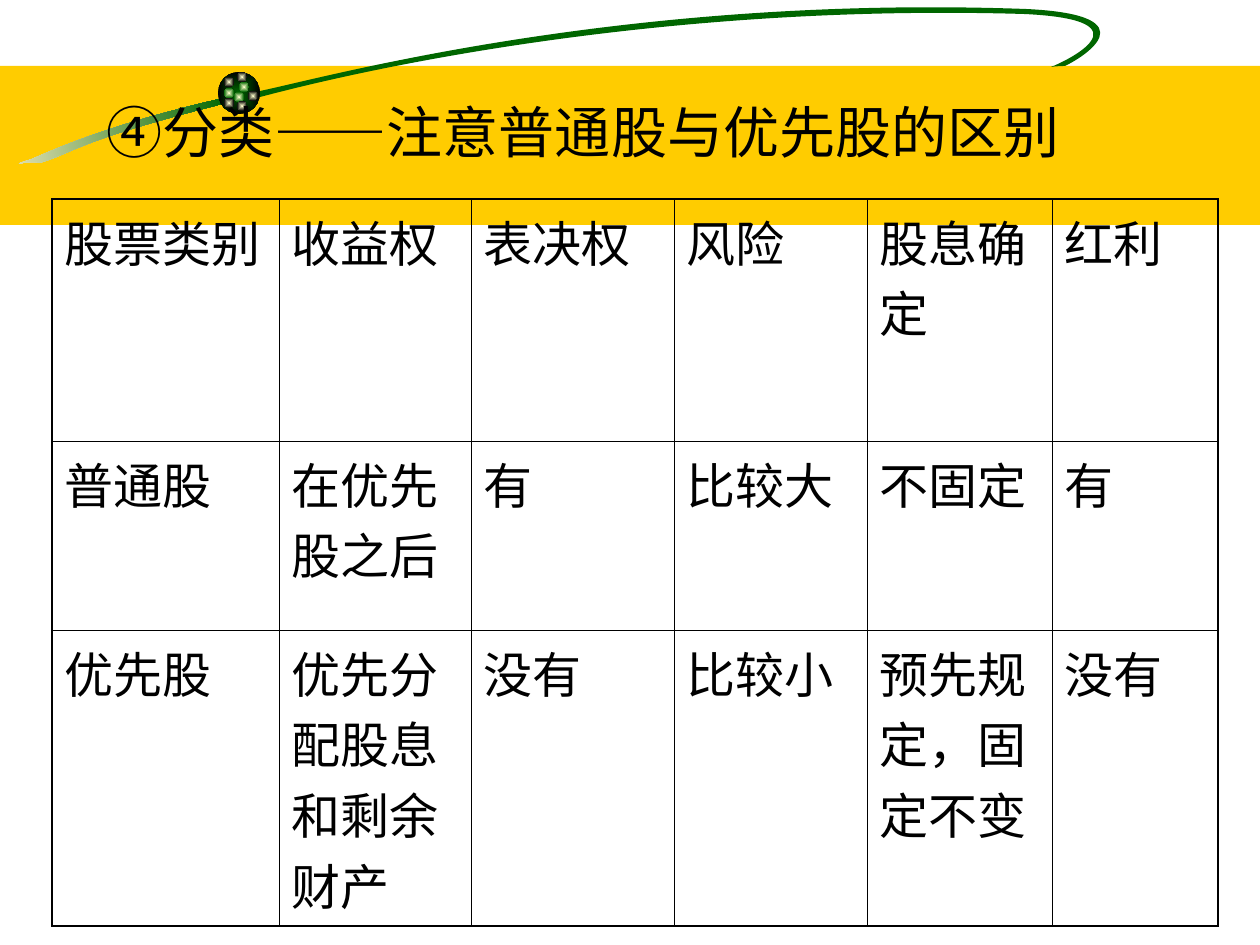
"""Build a slide comparing common and preferred shares in a table."""
import math
from lxml import etree
from pptx import Presentation
from pptx.dml.color import RGBColor
from pptx.enum.shapes import MSO_SHAPE
from pptx.enum.text import MSO_ANCHOR, PP_ALIGN
from pptx.oxml import parse_xml
from pptx.oxml.ns import nsdecls, qn
from pptx.util import Pt

RECTANGLE, OVAL = MSO_SHAPE.RECTANGLE, MSO_SHAPE.OVAL
MIDDLE, LEFT = MSO_ANCHOR.MIDDLE, PP_ALIGN.LEFT
PX = 914400 / 126
GOLD = RGBColor(0xFF, 0xCC, 0x00)
GREEN = RGBColor(0x00, 0x66, 0x00)
CREAM = RGBColor(0xF5, 0xEB, 0xC1)
PALE = RGBColor(0xFF, 0xFF, 0xCC)
BLACK = RGBColor(0x00, 0x00, 0x00)
CJK, SERIF, NARROW = "Noto Sans CJK SC", "Times New Roman", "Arial Narrow"


def px(*lengths):
    return [round(length * PX) for length in lengths]


def style_run(span, size, latin):
    span.font.size = Pt(size)
    span.font.name = latin
    span.font.color.rgb = BLACK
    face = etree.SubElement(span.font._element, qn("a:ea"))
    face.set("typeface", CJK)


deck = Presentation()
deck.slide_width, deck.slide_height = px(1260, 945)
page = deck.slides.add_slide(deck.slide_layouts[5])

band = page.shapes.add_shape(RECTANGLE, *px(0, 66, 1260, 159))
band.shadow.inherit = False
band.fill.solid()
band.fill.fore_color.rgb = GOLD
band.line.fill.background()

TILT = 8.5
TAIL_FRAME, LOOP_FRAME = (-4, 115, 232, 38), (253, -19, 902, 137)
TAIL = [(224, 98), (115, 123), (62, 146), (32, 159), (1, 169), (33, 159), (39, 163),
        (72, 154), (72, 142), (226, 103), (226, 103), (224, 98), (224, 98)]
LOOP = [(255, 92), (310, 82), (612, -6), (1026, 9), (1155, 15), (1080, 59), (1065, 66),
        (1065, 66), (1056, 66), (1051, 67), (1064, 62), (1154, 20), (1024, 14),
        (690, 4), (403, 59), (260, 97), (260, 97), (255, 92), (255, 92)]
cosine, sine = math.cos(math.radians(TILT)), math.sin(math.radians(TILT))
for (left, top, width, height), knots, colors in (
        (TAIL_FRAME, TAIL, (CREAM, GREEN)), (LOOP_FRAME, LOOP, (GREEN,))):
    right, bottom = left + width, top + height
    builder = page.shapes.build_freeform(*px(left, top), scale=1.0)
    builder.add_line_segments([px(right, top), px(right, bottom), px(left, bottom)])
    swoosh = builder.convert_to_shape()
    swoosh.rotation = 360 - TILT
    swoosh.shadow.inherit = False
    swoosh.line.fill.background()
    outline = swoosh.element.spPr.find(".//" + qn("a:path"))
    for child in list(outline):
        outline.remove(child)
    for index, (x, y) in enumerate(knots):
        if index == 0:
            segment = etree.SubElement(outline, qn("a:moveTo"))
        elif index % 3 == 1:
            segment = etree.SubElement(outline, qn("a:cubicBezTo"))
        across, down = x - left - width / 2, y - top - height / 2
        local = px(across * cosine - down * sine + width / 2,
                   across * sine + down * cosine + height / 2)
        point = etree.SubElement(segment, qn("a:pt"))
        for axis, value in zip("xy", local):
            point.set(axis, str(value))
    etree.SubElement(outline, qn("a:close"))
    if len(colors) == 2:
        swoosh.fill.gradient()
        swoosh.fill.gradient_angle = 0
        for stop, color in zip(swoosh.fill.gradient_stops, colors):
            stop.color.rgb = color
    else:
        swoosh.fill.solid()
        swoosh.fill.fore_color.rgb = colors[0]

BALLS = [(218, 72, 42, GREEN, BLACK)] + [
    (left, top, 10, PALE, rim) for left, top, rim in (
        (239, 82, GREEN), (224, 77, BLACK), (224, 88, GREEN), (234, 92, GREEN),
        (248, 91, BLACK), (237, 101, BLACK), (224, 98, BLACK), (237, 72, BLACK))]
for left, top, size, core, rim in BALLS:
    ball = page.shapes.add_shape(OVAL, *px(left, top, size, size))
    ball.shadow.inherit = False
    ball.line.fill.background()
    ball.fill.gradient()
    for stop, color in zip(ball.fill.gradient_stops, (core, rim)):
        stop.color.rgb = color
    gradient = ball.element.spPr.find(qn("a:gradFill"))
    gradient.replace(gradient.find(qn("a:lin")), parse_xml(
        f'<a:path {nsdecls("a")} path="rect">'
        '<a:fillToRect l="50000" t="50000" r="50000" b="50000"/></a:path>'))

title = page.shapes.title
title.left, title.top, title.width, title.height = px(94, 53, 1166, 157)
title.text_frame.vertical_anchor = MIDDLE
title.text_frame.word_wrap = True
heading = title.text_frame.paragraphs[0]
heading.alignment = LEFT
for text, font in (("④分类", CJK), ("——", SERIF), ("注意普通股与优先股的区别", CJK)):
    span = heading.add_run()
    span.text = text
    style_run(span, 32, font)
title.element.getparent().append(title.element)

ROWS = [
    ["股票类别", "收益权", "表决权", "风险", "股息确定", "红利"],
    ["普通股", "在优先股之后", "有", "比较大", "不固定", "有"],
    ["优先股", "优先分配股息和剩余财产", "没有", "比较小", "预先规定\uff0c固定不变", "没有"],
]
WIDTHS = [227, 192, 203, 193, 185, 166]
HEIGHTS = [242, 189, 296]
THICK, THIN = Pt(1.08), Pt(0.45)
last_row, last_column = len(HEIGHTS) - 1, len(WIDTHS) - 1
table = page.shapes.add_table(len(HEIGHTS), len(WIDTHS),
                              *px(52, 199, sum(WIDTHS), sum(HEIGHTS))).table
table.first_row = table.horz_banding = False
for column, width in zip(table.columns, px(*WIDTHS)):
    column.width = width
for row, height in zip(table.rows, px(*HEIGHTS)):
    row.height = height
for r, texts in enumerate(ROWS):
    for c, text in enumerate(texts):
        cell = table.cell(r, c)
        cell.text = text
        para = cell.text_frame.paragraphs[0]
        para.space_before = Pt(7)
        is_header = (r == 0) != (c == 0)
        style_run(para.runs[0], 28, SERIF if is_header else NARROW)
        edges = (("L", c == 0), ("R", c == last_column), ("T", r == 0), ("B", r == last_row))
        for side, is_outer in edges:
            cell._tc.get_or_add_tcPr().append(parse_xml(
                f'<a:ln{side} {nsdecls("a")} w="{THICK if is_outer else THIN}">'
                f'<a:solidFill><a:srgbClr val="{BLACK}"/></a:solidFill></a:ln{side}>'))
        cell.fill.background()

deck.save("out.pptx")
